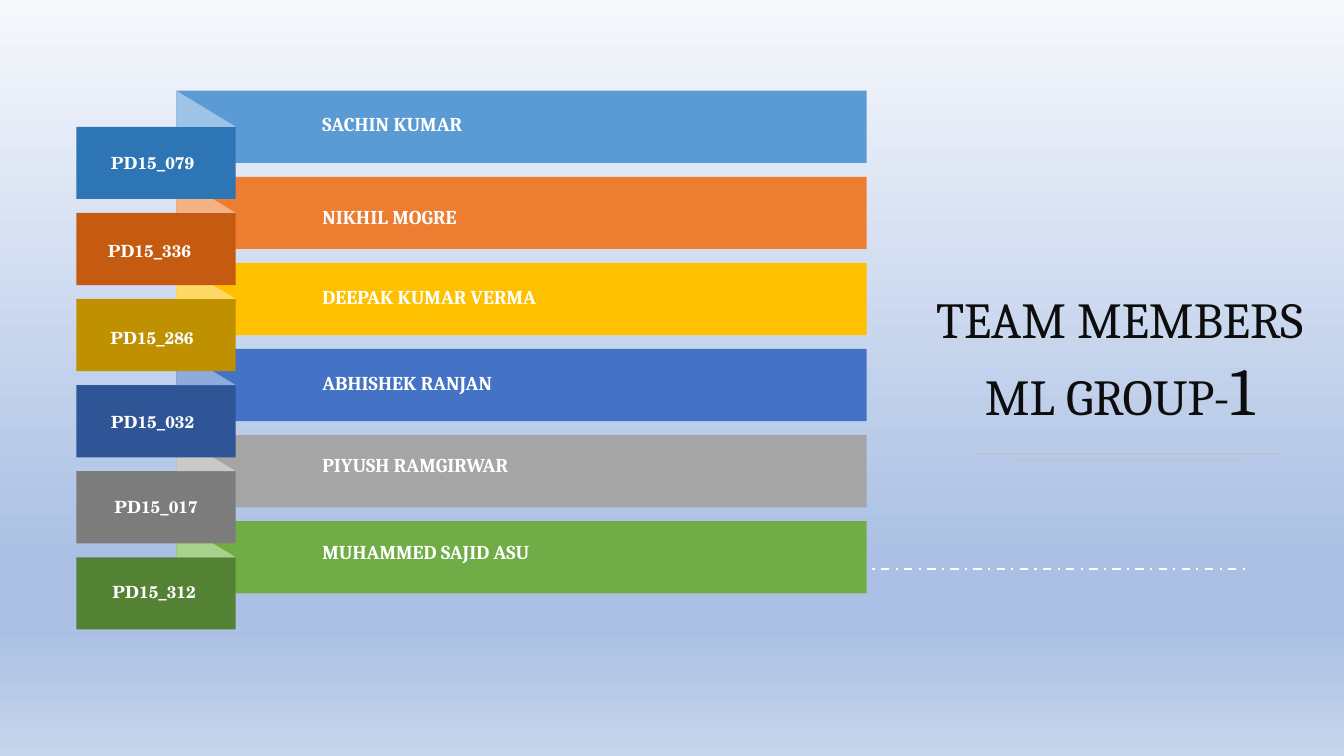
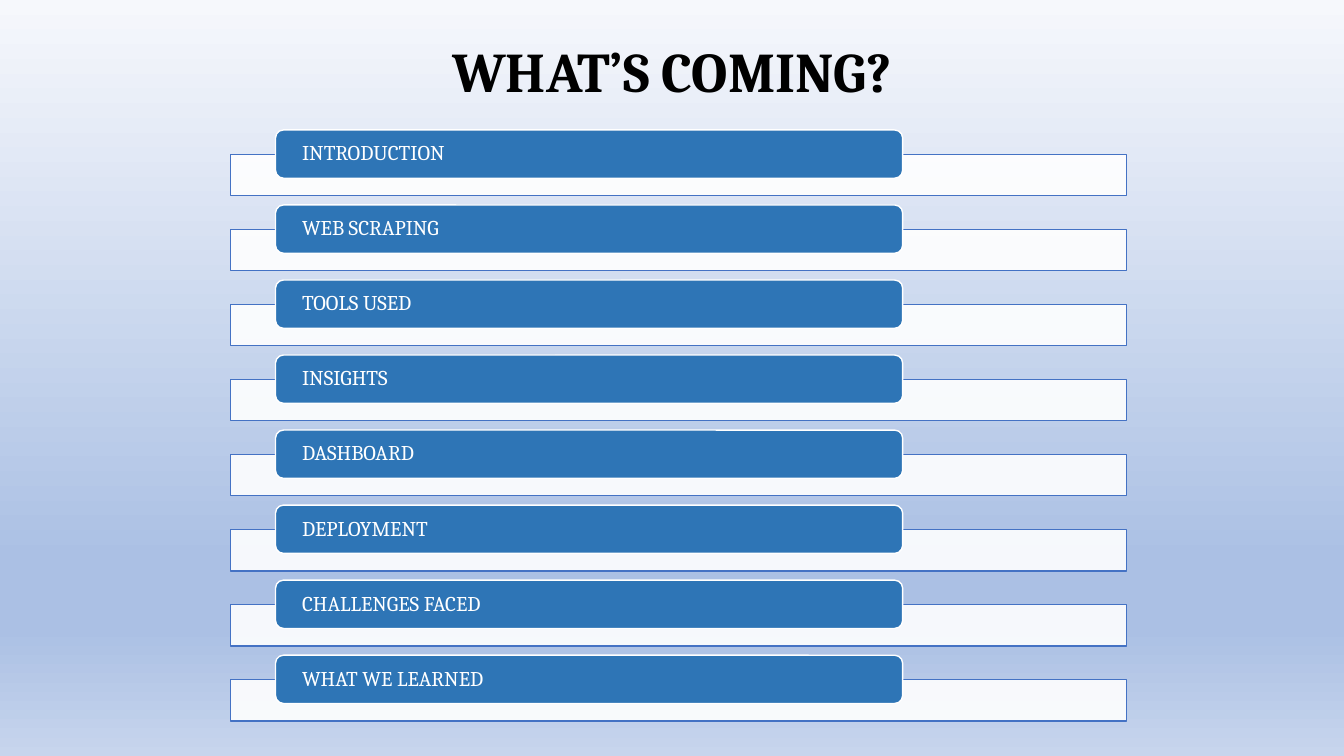
from dataclasses import dataclass

from lxml.etree import SubElement
from pptx import Presentation
from pptx.dml.color import RGBColor
from pptx.enum.dml import MSO_LINE
from pptx.enum.shapes import MSO_CONNECTOR, MSO_SHAPE
from pptx.enum.text import MSO_ANCHOR as ANCHOR, MSO_AUTO_SIZE as AUTO, PP_ALIGN as ALIGN
from pptx.oxml.ns import qn
from pptx.util import Pt


@dataclass(frozen=True)
class Theme:
    serif: str = "Cambria"
    code_font: str = "TeX Gyre Schola"
    white: str = "FFFFFF"
    black: str = "000000"
    ink: str = "0D0D0D"
    rule: str = "BFBFBF"
    accent: str = "2E75B6"
    outline: str = "4472C4"
    sky: tuple = ((0, "F6F8FC"), (74, "ABC0E4"), (83, "ABC0E4"), (100, "C7D5ED"))
    title: int = 40
    team_title: int = 36
    team_number: int = 48
    item: int = 15
    name: int = 14
    code: int = 12


T = Theme()
WIDTH, HEIGHT = 960, 540

# Member: code, name, bar, label and fold colours,
# shift of the code from the label's centre, drop of code and name from the row top
MEMBERS = [
    ("PD15_079", "SACHIN KUMAR", "5B9BD5", "2E75B6", "9DC3E6", -2.5, 41, 15),
    ("PD15_336", "NIKHIL MOGRE", "ED7D31", "C55A11", "F4B183", -4.7, 42.2, 20),
    ("PD15_286", "DEEPAK KUMAR VERMA", "FFC000", "BF9000", "FFD966", -2.9, 42.6, 16),
    ("PD15_032", "ABHISHEK RANJAN", "4472C4", "2F5597", "8FAADC", -2.5, 41, 16),
    ("PD15_017", "PIYUSH RAMGIRWAR", "A5A5A5", "7C7C7C", "C9C9C9", 0, 40.6, 12.6),
    ("PD15_312", "MUHAMMED SAJID ASU", "70AD47", "548235", "A9D18E", -1.4, 39.6, 13),
]
TOPICS = ["INTRODUCTION", "WEB SCRAPING", "TOOLS USED", "INSIGHTS", "DASHBOARD",
          "DEPLOYMENT", "CHALLENGES FACED", "WHAT WE LEARNED"]


def rgb(color):
    return RGBColor.from_string(color)


def set_background(master):
    """Give every slide the same vertical gradient."""
    fill = master.background.fill
    fill.gradient()
    fill.gradient_angle = 270
    stops = master.element.find(".//" + qn("p:bgPr")).find(".//" + qn("a:gsLst"))
    for old in list(stops):
        stops.remove(old)
    for pos, color in T.sky:
        stop = SubElement(stops, qn("a:gs"), pos=str(pos * 1000))
        SubElement(stop, qn("a:srgbClr"), val=color)


def add_run(p, text, size, color, font=T.serif, bold=False):
    r = p.add_run()
    r.text = text
    r.font.size, r.font.name, r.font.bold = Pt(size), font, bold
    r.font.color.rgb = rgb(color)


def add_box(s, kind, x, y, w, h, fill, line=None, alpha=None):
    sp = s.shapes.add_shape(kind, Pt(x), Pt(y), Pt(w), Pt(h))
    sp.shadow.inherit = False
    sp.fill.solid()
    sp.fill.fore_color.rgb = rgb(fill)
    if alpha is not None:
        clr = sp.fill._xPr.find(".//" + qn("a:srgbClr"))
        SubElement(clr, qn("a:alpha"), val=str(alpha * 1000))
    if line:
        sp.line.color.rgb = rgb(line)
        sp.line.width = Pt(1)
    else:
        sp.line.fill.background()
    return sp


def add_text(s, x, y, w, h, inset=True):
    """Add an empty text box and return its frame."""
    tf = s.shapes.add_textbox(Pt(x), Pt(y), Pt(w), Pt(h)).text_frame
    tf.word_wrap = True
    if not inset:
        tf.margin_left = tf.margin_right = tf.margin_top = tf.margin_bottom = 0
    return tf


def add_line(s, x1, x2, y, color, width, dash=None):
    ln = s.shapes.add_connector(MSO_CONNECTOR.STRAIGHT, Pt(x1), Pt(y), Pt(x2), Pt(y))
    ln.line.color.rgb = rgb(color)
    ln.line.width = Pt(width)
    if dash:
        ln.line.dash_style = dash
    SubElement(ln._element.spPr, qn("a:effectLst"))


def place_title(s, x, y, w, h, lines):
    """Fill the title; each line is a list of (text, size, color, bold)."""
    sp = s.shapes.title
    sp.left, sp.top, sp.width, sp.height = Pt(x), Pt(y), Pt(w), Pt(h)
    tf = sp.text_frame
    tf.auto_size, tf.word_wrap, tf.vertical_anchor = AUTO.NONE, True, ANCHOR.TOP
    for i, line in enumerate(lines):
        p = tf.add_paragraph() if i else tf.paragraphs[0]
        p.alignment = ALIGN.CENTER
        for text, size, color, bold in line:
            add_run(p, text, size, color, bold=bold)


def add_member(s, y, code, name, bar, label, fold, shift, code_drop, name_drop):
    bar_x, label_x, label_w, bar_h, fold_h = 126, 54.6, 113.8, 51.6, 25.8
    add_box(s, MSO_SHAPE.RECTANGLE, bar_x, y, 493, bar_h, bar)
    add_box(s, MSO_SHAPE.RECTANGLE, label_x, y + fold_h, label_w, bar_h, label)
    add_box(s, MSO_SHAPE.RIGHT_TRIANGLE, bar_x, y, label_x + label_w - bar_x, fold_h, fold)
    # Code on the label
    code_w = 90
    code_x = label_x + (label_w - code_w) / 2 + shift
    p = add_text(s, code_x, y + code_drop, code_w, 21.8).paragraphs[0]
    p.alignment = ALIGN.CENTER
    add_run(p, code, T.code, T.white, T.code_font, True)
    # Name on the bar
    p = add_text(s, 230.3, y + name_drop, 348.5, 17, inset=False).paragraphs[0]
    p.space_before = Pt(6)
    add_run(p, name, T.name, T.white, bold=True)


def add_topic(s, y, text):
    add_box(s, MSO_SHAPE.RECTANGLE, 164.7, y + 17.4, 640, 29.6, T.white, T.outline, alpha=90)
    sp = add_box(s, MSO_SHAPE.ROUNDED_RECTANGLE, 196.8, y, 448, 34.5, T.accent, T.white)
    tf = sp.text_frame
    tf.word_wrap, tf.vertical_anchor = True, ANCHOR.MIDDLE
    tf.margin_left = tf.margin_right = Pt(17.3)
    tf.margin_top = tf.margin_bottom = 0
    p = tf.paragraphs[0]
    p.alignment, p.line_spacing = ALIGN.LEFT, 0.9
    add_run(p, text, T.item, T.white)


def build_team(s):
    place_title(s, 645, 202.3, 309.6, 108.7, [
        [("TEAM MEMBERS", T.team_title, T.ink, False)],
        [("ML GROUP-", T.team_title, T.ink, False), ("1", T.team_number, T.ink, False)],
    ])
    add_line(s, 612.7, 893.5, 406.3, T.white, 1.5, MSO_LINE.DASH_DOT)
    # Rules under the title
    add_line(s, 697, 913.7, 324, T.rule, 0.5)
    add_line(s, 723.6, 887, 328.3, T.rule, 0.5)
    # Bottom row first, so each label covers the fold below it
    for i, member in reversed(list(enumerate(MEMBERS))):
        add_member(s, 64.8 + 61.5 * i, *member)


def build_agenda(s):
    place_title(s, 0, 22.3, WIDTH, 55.4, [[("WHAT’S COMING?", T.title, T.black, True)]])
    for i, topic in enumerate(TOPICS):
        add_topic(s, 92.8 + 53.6 * i, topic)


def main():
    prs = Presentation()
    prs.slide_width, prs.slide_height = Pt(WIDTH), Pt(HEIGHT)
    set_background(prs.slide_master)
    title_only = prs.slide_layouts[5]
    for build in (build_team, build_agenda):
        build(prs.slides.add_slide(title_only))
    prs.save("out.pptx")


if __name__ == "__main__":
    main()
